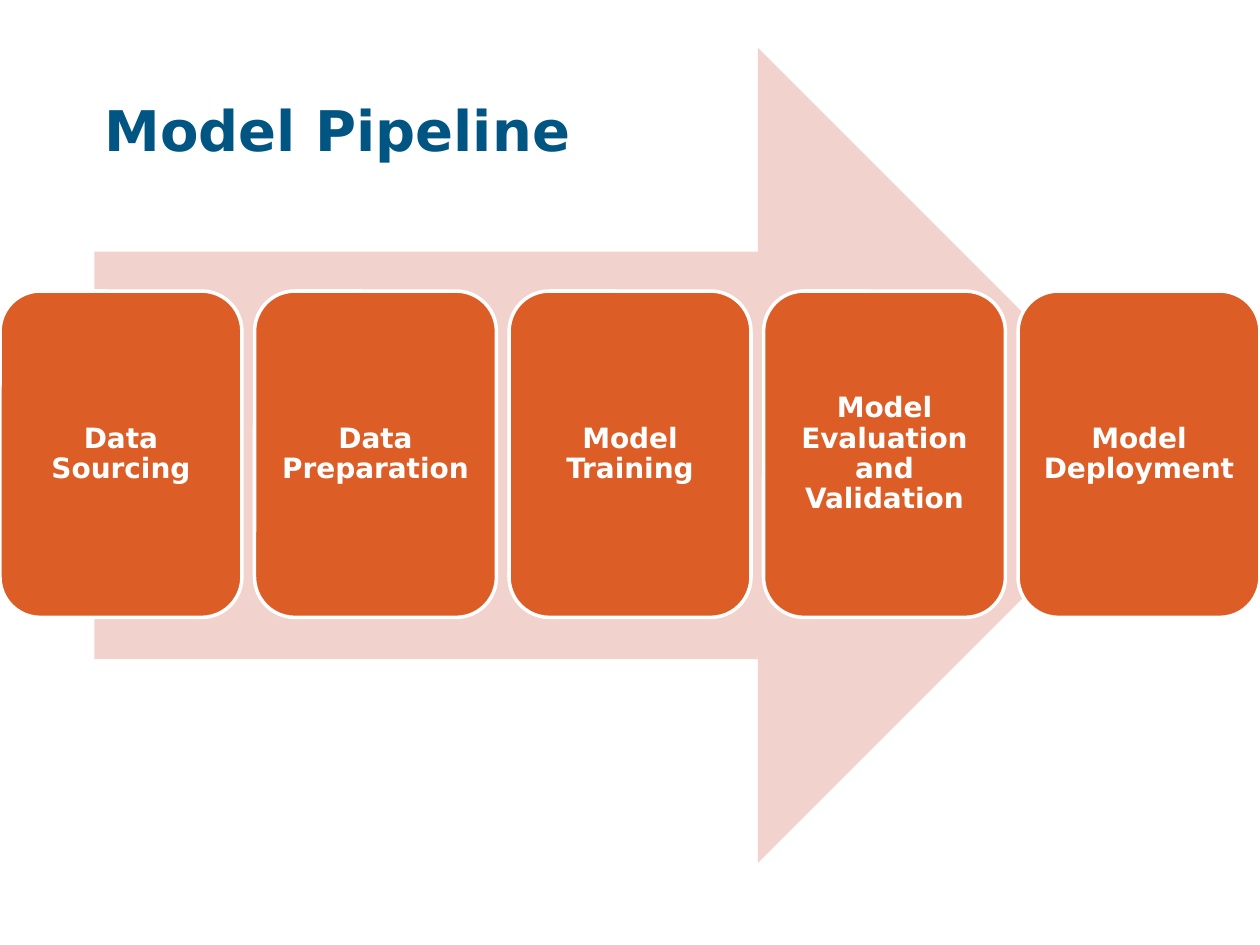
from dataclasses import dataclass

from pptx import Presentation
from pptx.dml.color import RGBColor
from pptx.enum.shapes import MSO_SHAPE
from pptx.enum.text import MSO_ANCHOR, PP_ALIGN
from pptx.util import Inches, Pt

RIGHT_ARROW = MSO_SHAPE.RIGHT_ARROW
ROUNDED = MSO_SHAPE.ROUNDED_RECTANGLE
TOP, MIDDLE = MSO_ANCHOR.TOP, MSO_ANCHOR.MIDDLE
LEFT, CENTER = PP_ALIGN.LEFT, PP_ALIGN.CENTER

SLIDE_WIDTH, SLIDE_HEIGHT = 10, 7.5
CARD_TOP, CARD_WIDTH, CARD_HEIGHT = 2.31, 1.92, 2.59
STAGES = [
    "Data Sourcing",
    "Data Preparation",
    "Model Training",
    "Model Evaluation and Validation",
    "Model Deployment",
]


@dataclass(frozen=True)
class Theme:
    """Colours, font and type sizes of the slide."""
    font: str = "DejaVu Sans"
    title: RGBColor = RGBColor.from_string("005582")
    arrow: RGBColor = RGBColor.from_string("F2D2CD")
    card: RGBColor = RGBColor.from_string("DC5D26")
    white: RGBColor = RGBColor.from_string("FFFFFF")
    title_size: int = 32
    card_size: int = 16
    card_line: int = 2


THEME = Theme()


def write_text(box, text, size, color, align, anchor, insets):
    """Set one bold paragraph; insets are horizontal and vertical inches."""
    frame = box.text_frame
    frame.word_wrap = True
    frame.vertical_anchor = anchor
    frame.margin_left = frame.margin_right = Inches(insets[0])
    frame.margin_top = frame.margin_bottom = Inches(insets[1])
    para = frame.paragraphs[0]
    para.alignment = align
    span = para.add_run()
    span.text = text
    span.font.name = THEME.font
    span.font.size = Pt(size)
    span.font.bold = True
    span.font.color.rgb = color
    return para


def add_filled_shape(page, kind, bounds, fill):
    """Add a flat preset shape without outline."""
    shape = page.shapes.add_shape(kind, *map(Inches, bounds))
    shape.shadow.inherit = False
    shape.fill.solid()
    shape.fill.fore_color.rgb = fill
    shape.line.fill.background()
    return shape


def add_title(page, text):
    """Add the slide title."""
    box = page.shapes.add_textbox(*map(Inches, (0.75, 0.67, 8.5, 1.25)))
    write_text(box, text, THEME.title_size, THEME.title, LEFT, TOP, (0.08, 0.09))


def add_stage(page, left, text):
    """Add one white-edged pipeline card."""
    bounds = (left, CARD_TOP, CARD_WIDTH, CARD_HEIGHT)
    card = add_filled_shape(page, ROUNDED, bounds, THEME.card)
    card.line.color.rgb = THEME.white
    card.line.width = Pt(THEME.card_line)
    para = write_text(card, text, THEME.card_size, THEME.white,
                      CENTER, MIDDLE, (0.07, 0.07))
    para.line_spacing = 0.9


def main():
    """Build and save the slide."""
    deck = Presentation()
    deck.slide_width = Inches(SLIDE_WIDTH)
    deck.slide_height = Inches(SLIDE_HEIGHT)
    page = deck.slides.add_slide(deck.slide_layouts[6])
    add_title(page, "Model Pipeline")
    add_filled_shape(page, RIGHT_ARROW, (0.75, 0.38, 8.5, 6.47), THEME.arrow)
    pitch = (SLIDE_WIDTH - CARD_WIDTH) / (len(STAGES) - 1)
    for index, stage in enumerate(STAGES):
        add_stage(page, index * pitch, stage)
    deck.save("out.pptx")


main()
